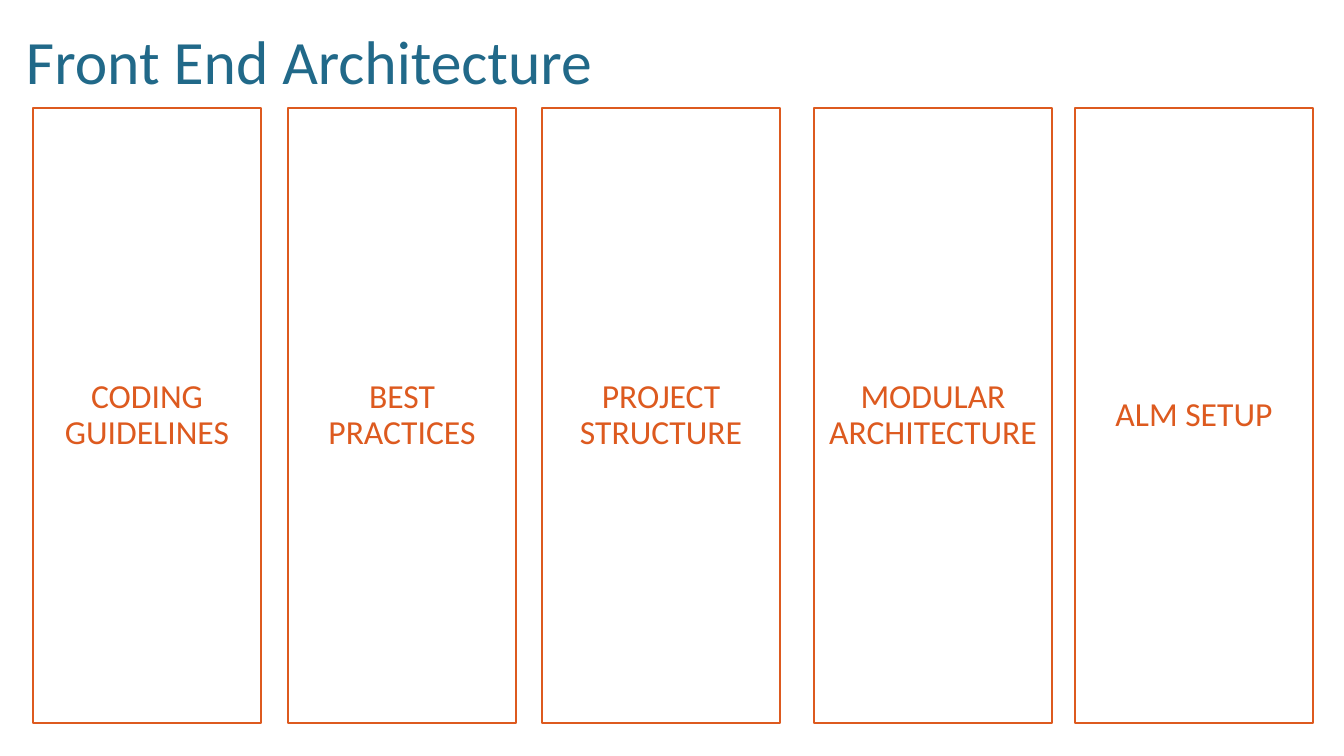
from pptx import Presentation
from pptx.dml.color import RGBColor
from pptx.enum.shapes import MSO_SHAPE as Shape
from pptx.enum.text import MSO_ANCHOR as Anchor, PP_ALIGN as Align
from pptx.util import Emu, Pt

PX = 914400 / 100.8
ORANGE = RGBColor(0xDD, 0x5A, 0x1F)
BLUE = RGBColor(0x21, 0x69, 0x89)
WHITE = RGBColor(0xFF, 0xFF, 0xFF)
PILLAR_TOP, PILLAR_HEIGHT = 108, 615
PILLARS = [
    ("CODING GUIDELINES", 33, 228),
    ("BEST PRACTICES", 288, 228),
    ("PROJECT STRUCTURE", 542, 238),
    ("MODULAR ARCHITECTURE", 814, 238),
    ("ALM SETUP", 1075, 238),
]


def px(length):
    """Turn a length in px into EMU."""
    return Emu(round(length * PX))


def write_text(shape, text, *, size, color, align):
    """Put one formatted, vertically centred paragraph into a shape."""
    frame = shape.text_frame
    frame.word_wrap = True
    frame.vertical_anchor = Anchor.MIDDLE
    frame.margin_left = frame.margin_right = px(10)
    paragraph = frame.paragraphs[0]
    paragraph.alignment = align
    paragraph.line_spacing = 0.9
    paragraph.space_before = Pt(0)
    run = paragraph.add_run()
    run.text = text
    run.font.name = "Calibri"
    run.font.size = Pt(size)
    run.font.color.rgb = color


def add_title(slide, text):
    """Place and fill the title placeholder."""
    title = slide.shapes.title
    title.left, title.top, title.width, title.height = map(px, (16, 12, 1210, 105))
    write_text(title, text, size=44, color=BLUE, align=Align.LEFT)


def add_pillar(slide, text, left, width):
    """Draw one outlined pillar with its label."""
    pillar = slide.shapes.add_shape(
        Shape.RECTANGLE, px(left), px(PILLAR_TOP), px(width), px(PILLAR_HEIGHT))
    pillar.shadow.inherit = False
    pillar.fill.solid()
    pillar.fill.fore_color.rgb = WHITE
    pillar.line.color.rgb = ORANGE
    pillar.line.width = Pt(1.5)
    write_text(pillar, text, size=24, color=ORANGE, align=Align.CENTER)


def main():
    """Build the slide and save it."""
    presentation = Presentation()
    presentation.slide_width, presentation.slide_height = px(1344), px(756)
    slide = presentation.slides.add_slide(presentation.slide_layouts[5])
    add_title(slide, "Front End Architecture")
    for text, left, width in PILLARS:
        add_pillar(slide, text, left, width)
    presentation.save("out.pptx")


if __name__ == "__main__":
    main()
